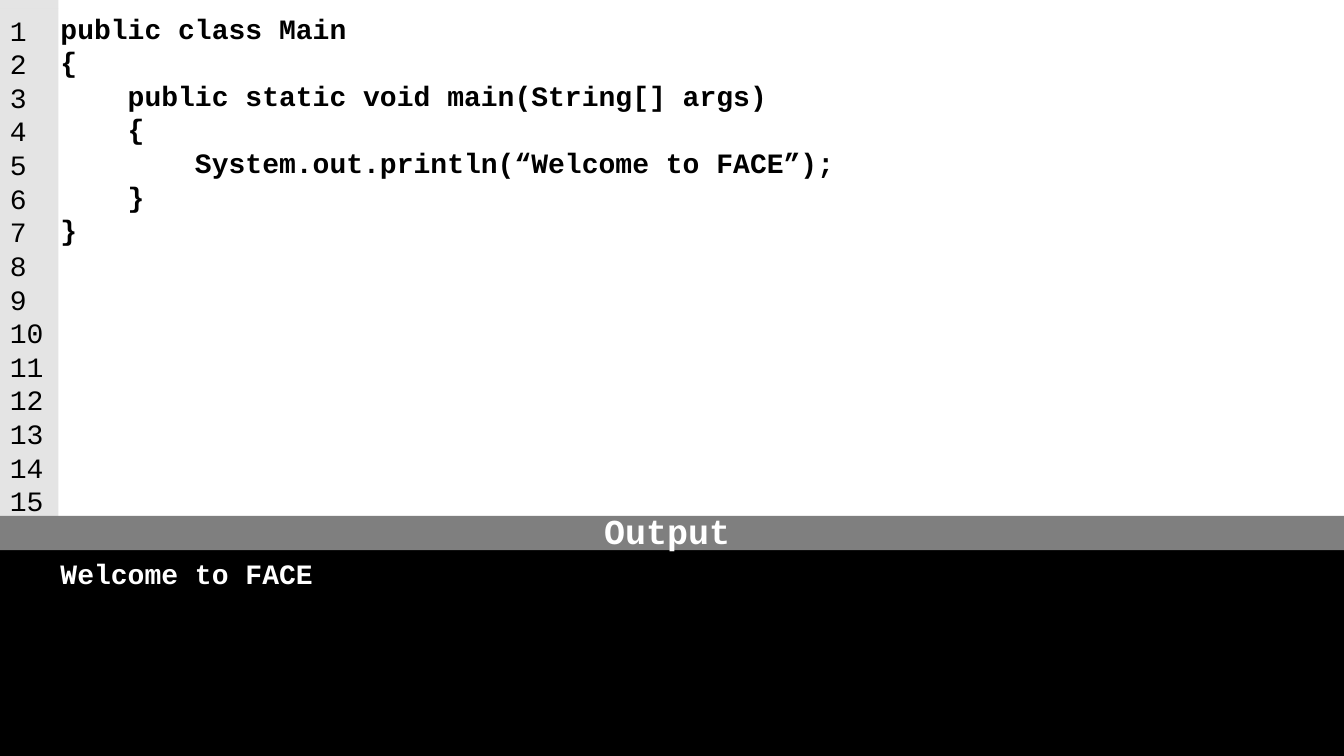
from pptx import Presentation
from pptx.dml.color import RGBColor
from pptx.enum.shapes import MSO_SHAPE
from pptx.enum.text import MSO_ANCHOR, PP_ALIGN
from pptx.oxml import parse_xml
from pptx.oxml.ns import nsdecls
from pptx.util import Pt


def color(hex_code):
    return RGBColor.from_string(hex_code)


def add_panel(box, fill, lines=(), insets=(0, 0, 0, 0), ink="000000",
              size=20, bold=True, align=PP_ALIGN.LEFT, anchor=MSO_ANCHOR.TOP):
    panel = slide.shapes.add_shape(MSO_SHAPE.RECTANGLE, *map(Pt, box))
    panel.shadow.inherit = False
    panel.fill.solid()
    panel.fill.fore_color.rgb = color(fill)
    panel.line.fill.background()
    frame = panel.text_frame
    frame.word_wrap = True
    frame.vertical_anchor = anchor
    frame.margin_left, frame.margin_top, frame.margin_right, frame.margin_bottom = map(Pt, insets)
    for index, line in enumerate(lines):
        paragraph = frame.paragraphs[0] if index == 0 else frame.add_paragraph()
        paragraph.text = line
        paragraph.alignment = align
        paragraph.font.name = "Courier New"
        paragraph.font.size = Pt(size)
        paragraph.font.bold = bold
        paragraph.font.color.rgb = color(ink)
    return panel


WIDTH, HEIGHT = 960, 540
GUTTER_WIDTH, GUTTER_TOP = 41.8, 5.8
OUTPUT_TOP = 368.6

prs = Presentation()
prs.slide_width, prs.slide_height = Pt(WIDTH), Pt(HEIGHT)
slide = prs.slides.add_slide(prs.slide_layouts[6])

code = """public class Main
{
    public static void main(String[] args)
    {
        System.out.println(“Welcome to FACE”);
    }
}""".splitlines()
add_panel((0, 0, WIDTH, HEIGHT), "FFFFFF", code, (43.2, 7.9, 7.2, 72))

line_numbers = [str(number) for number in range(1, 16)]
gutter_cap = add_panel((0, 0, GUTTER_WIDTH, GUTTER_TOP), "D8D8D8")
gutter = add_panel((0, GUTTER_TOP, GUTTER_WIDTH, HEIGHT - GUTTER_TOP), "D8D8D8",
                   line_numbers, (7.2, 3.6, 7.2, 72), bold=False)
for strip in (gutter_cap, gutter):
    tint = strip.fill._xPr.solidFill[0]
    tint.append(parse_xml(f'<a:alpha {nsdecls("a")} val="68000"/>'))

add_panel((0, OUTPUT_TOP, WIDTH, HEIGHT - OUTPUT_TOP), "000000",
          ["Welcome to FACE"], (43.2, 28.8, 7.2, 7.2), "FFFFFF")
add_panel((0, OUTPUT_TOP, WIDTH, 24.5), "7F7F7F", ["Output"], (0, 3.6, 7.2, 7.2),
          "FFFFFF", 25, align=PP_ALIGN.CENTER, anchor=MSO_ANCHOR.MIDDLE)

prs.save("out.pptx")
